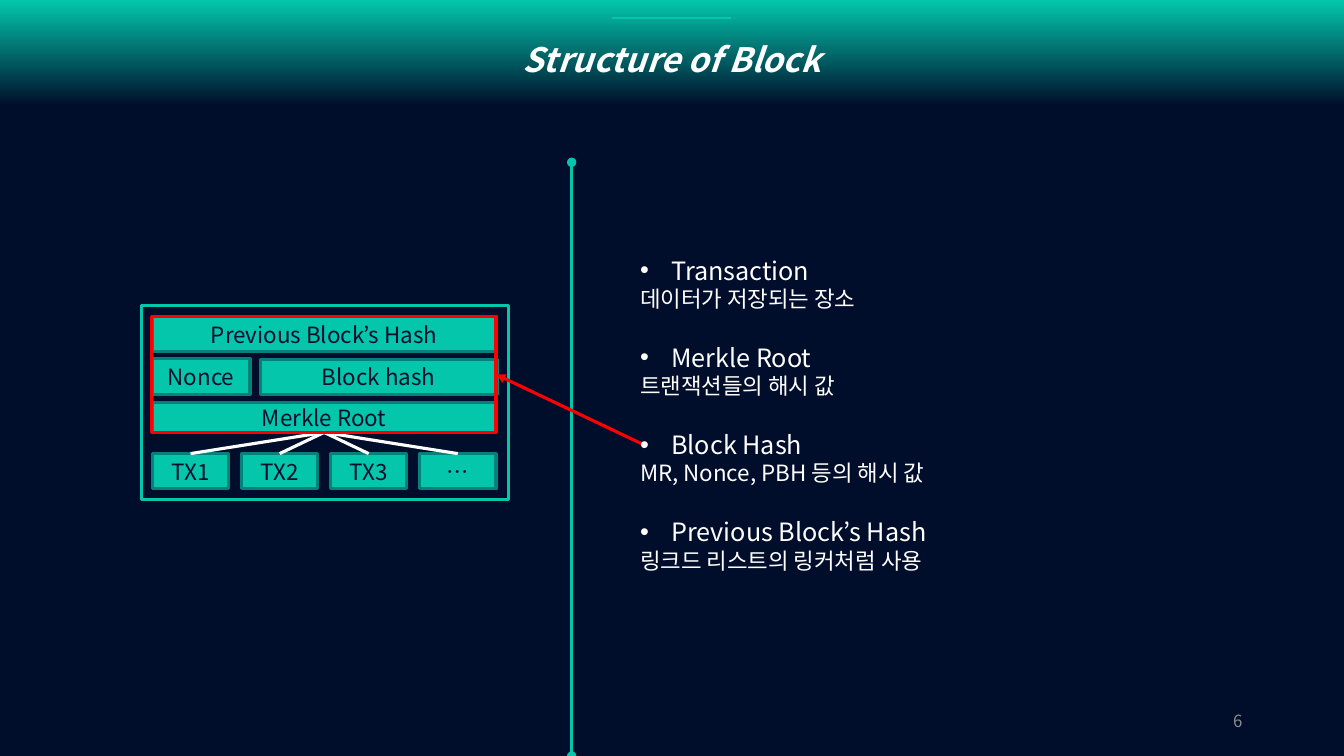
from dataclasses import dataclass

from lxml import etree
from pptx import Presentation
from pptx import util as u
from pptx.dml.color import RGBColor
from pptx.enum import shapes, text
from pptx.oxml import ns

COLORS = {"navy": "000E2B", "teal": "03C6AB", "edge": "02827B",
          "white": "FFFFFF", "red": "FF0000", "gray": "8C8C8C"}
FONT = "Noto Sans CJK KR"
BLOCK_LEFT, BLOCK_WIDTH = 1.51, 3.41
TX_TOP, TX_WIDTH = 4.5, 0.76


@dataclass
class Box:
    left: float
    top: float
    width: float
    height: float
    label: str = ""
    fill: str | None = "teal"
    line: str | None = "edge"


@dataclass
class Term:
    name: str
    meaning: str


FIELDS = [
    Box(BLOCK_LEFT, 3.14, BLOCK_WIDTH, 0.35, "Previous Block’s Hash"),
    Box(BLOCK_LEFT, 3.56, 0.97, 0.35, "Nonce"),
    Box(2.58, 3.57, 2.35, 0.34, "Block hash"),
]
MERKLE_ROOT = Box(BLOCK_LEFT, 3.99, BLOCK_WIDTH, 0.3, "Merkle Root")
TRANSACTIONS = ["TX1", "TX2", "TX3", "…"]
TERMS = [
    Term("Transaction", "데이터가 저장되는 장소"),
    Term("Merkle Root", "트랜잭션들의 해시 값"),
    Term("Block Hash", "MR, Nonce, PBH 등의 해시 값"),
    Term("Previous Block’s Hash", "링크드 리스트의 링커처럼 사용"),
]


def rgb(name: str) -> RGBColor:
    return RGBColor.from_string(COLORS[name])


def write(paragraph, words: str, *, size: float = 16, color: str = "white", bold: bool = False,
          italic: bool = False, align=text.PP_ALIGN.LEFT) -> None:
    paragraph.alignment = align
    run = paragraph.add_run()
    run.text = words
    font = run.font
    font.name, font.size, font.bold, font.italic = FONT, u.Pt(size), bold, italic
    font.color.rgb = rgb(color)
    east_asian = etree.SubElement(run._r.get_or_add_rPr(), ns.qn("a:ea"))
    east_asian.set("typeface", FONT)


def add_box(slide, box: Box):
    """Draw a rectangle with its centred label, if any."""
    rect = slide.shapes.add_shape(
        shapes.MSO_SHAPE.RECTANGLE,
        *map(u.Inches, (box.left, box.top, box.width, box.height)))
    rect.shadow.inherit = False
    if box.fill:
        rect.fill.solid()
        rect.fill.fore_color.rgb = rgb(box.fill)
    else:
        rect.fill.background()
    if box.line:
        rect.line.color.rgb = rgb(box.line)
        rect.line.width = u.Pt(2.25)
    else:
        rect.line.fill.background()
    rect.text_frame.vertical_anchor = text.MSO_ANCHOR.MIDDLE
    if box.label:
        write(rect.text_frame.paragraphs[0], box.label, color="navy",
              align=text.PP_ALIGN.CENTER)
    return rect


def add_line(slide, start: tuple[float, float], end: tuple[float, float], color: str,
             width: float = 2.25, head: str = "", tail: str = ""):
    """Draw a straight line; head is the mark at start, tail the one at end."""
    line = slide.shapes.add_connector(
        shapes.MSO_CONNECTOR.STRAIGHT, *map(u.Inches, (*start, *end)))
    line.line.color.rgb = rgb(color)
    line.line.width = u.Pt(width)
    for tag, mark in (("a:headEnd", head), ("a:tailEnd", tail)):
        if mark:
            etree.SubElement(line.line._get_or_add_ln(), ns.qn(tag)).set("type", mark)
    etree.SubElement(line._element.spPr, ns.qn("a:effectLst"))
    return line


def add_text_frame(slide, left: float, top: float, width: float, height: float):
    frame = slide.shapes.add_textbox(*map(u.Inches, (left, top, width, height))).text_frame
    frame.word_wrap = True
    return frame


def add_header(slide) -> None:
    banner = add_box(slide, Box(0, 0, 13.33, 1.17, line=None))
    banner.fill.gradient()
    banner.fill.gradient_angle = 90
    for stop, (position, color) in zip(banner.fill.gradient_stops,
                                       ((0.1, "navy"), (1, "teal"))):
        stop.position = position
        stop.color.rgb = rgb(color)
    write(banner.text_frame.paragraphs[0], "Structure of Block", size=24, bold=True,
          italic=True, align=text.PP_ALIGN.CENTER)
    add_line(slide, (6.07, 0.18), (7.25, 0.18), "teal", 1)


def add_block(slide):
    """Draw the block and return the red frame around its header fields."""
    add_box(slide, Box(1.4, 3.03, 3.64, 1.93, fill="navy", line="teal"))
    for field in FIELDS:
        add_box(slide, field)
    root = add_box(slide, MERKLE_ROOT)
    pitch = (BLOCK_WIDTH - TX_WIDTH) / (len(TRANSACTIONS) - 1)
    for i, label in enumerate(TRANSACTIONS):
        left = BLOCK_LEFT + i * pitch
        transaction = add_box(slide, Box(left, TX_TOP, TX_WIDTH, 0.35, label))
        branch = add_line(slide, (left + TX_WIDTH / 2, TX_TOP), (3.22, 4.29), "white")
        branch.begin_connect(transaction, 0)
        branch.end_connect(root, 2)
    return add_box(slide, Box(1.5, 3.14, 3.42, 1.15, fill=None, line="red"))


def add_terms(slide) -> None:
    frame = add_text_frame(slide, 6.25, 2.48, 3.43, 3.3)
    for i, term in enumerate(TERMS):
        name = frame.add_paragraph() if i else frame.paragraphs[0]
        if i:
            name.space_before = u.Pt(21.5)
        write(name, term.name, size=18)
        properties = name._p.get_or_add_pPr()
        indent = u.Inches(0.31)
        properties.set("marL", str(indent))
        properties.set("indent", str(-indent))
        etree.SubElement(properties, ns.qn("a:buFont")).set("typeface", "Arial")
        etree.SubElement(properties, ns.qn("a:buChar")).set("char", "•")
        write(frame.add_paragraph(), term.meaning)


def main() -> None:
    deck = Presentation()
    deck.slide_width, deck.slide_height = u.Inches(13.33), u.Inches(7.5)
    slide = deck.slides.add_slide(deck.slide_layouts[6])
    slide.background.fill.solid()
    slide.background.fill.fore_color.rgb = rgb("navy")

    add_header(slide)
    hashed_fields = add_block(slide)
    add_line(slide, (5.67, 7.5), (5.67, 1.61), "teal", head="oval", tail="oval")
    hash_arrow = add_line(slide, (6.38, 4.41), (4.92, 3.72), "red", tail="triangle")
    hash_arrow.end_connect(hashed_fields, 3)
    add_terms(slide)

    page_number = add_text_frame(slide, 9.42, 6.95, 3, 0.4)
    page_number.vertical_anchor = text.MSO_ANCHOR.MIDDLE
    write(page_number.paragraphs[0], "6", size=12, color="gray", align=text.PP_ALIGN.RIGHT)
    deck.save("out.pptx")


if __name__ == "__main__":
    main()
